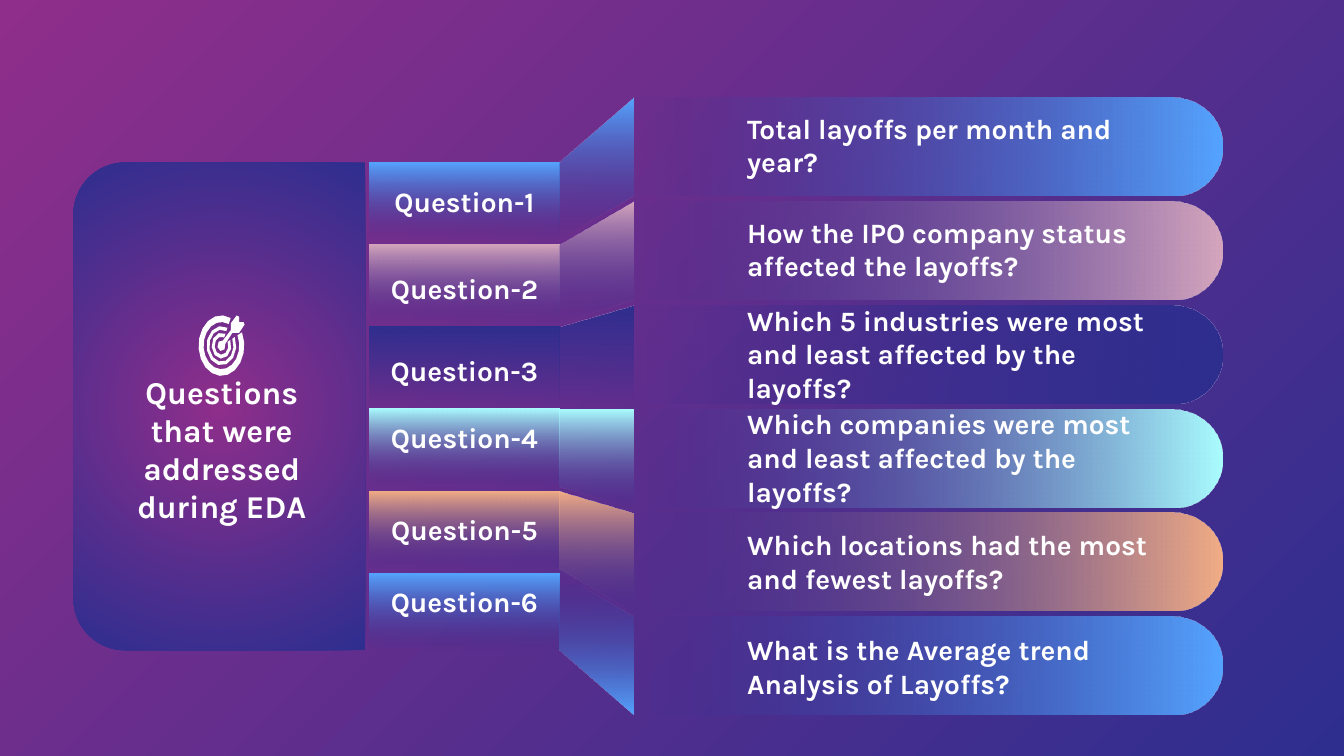
import math

from lxml import etree
from pptx import Presentation
from pptx.dml.color import RGBColor
from pptx.enum import shapes, text
from pptx.oxml import ns
from pptx.util import Pt

FONT = "Karla"
WHITE, PURPLE, NAVY, BLUE = "FFFFFF", "8F2E8B", "2E2E8F", "55A4FF"

# Answer, colour, tops of the label and of the answer within the diagram
QUESTIONS = [
    ("Total layoffs per month and year?", BLUE, 40.9, -0.5),
    ("How the IPO company status affected the layoffs?", "D5A6BD", 87.2, 54.9),
    ("Which 5 industries were most and least affected by the layoffs?",
     NAVY, 131.5, 132.5),
    ("Which companies were most and least affected by the layoffs?",
     "AAFDFF", 167.3, 198.2),
    ("Which locations had the most and fewest layoffs?", "F2AD85", 216.5, 264.6),
    ("What is the Average trend Analysis of Layoffs?", BLUE, 255, 331.2),
]
# The answers share one step, with the tops above rounded to the bars
ANSWER_NUDGE = [-0.5, -0.5, 0.2, 0, 0, 0.6]


def rgb(value):
    return RGBColor.from_string(value)


def set_gradient(fill, holder, start, end, alpha=100, angle=None):
    """Two-stop gradient: linear at an angle, or radial without one."""
    fill.solid()
    grad = etree.Element(ns.qn("a:gradFill"), rotWithShape="1")
    stops = etree.SubElement(grad, ns.qn("a:gsLst"))
    for pos, colour, opacity in ((0, start, 100), (100, end, alpha)):
        gs = etree.SubElement(stops, ns.qn("a:gs"), pos=str(pos * 1000))
        clr = etree.SubElement(gs, ns.qn("a:srgbClr"), val=colour)
        if opacity < 100:
            etree.SubElement(clr, ns.qn("a:alpha"), val=str(opacity * 1000))
    if angle is None:
        radial = etree.SubElement(grad, ns.qn("a:path"), path="circle")
        sides = dict.fromkeys("ltrb", "50000")
        etree.SubElement(radial, ns.qn("a:fillToRect"), **sides)
    else:
        etree.SubElement(grad, ns.qn("a:lin"), ang=str(angle * 60000), scaled="0")
    holder.replace(holder.find(ns.qn("a:solidFill")), grad)


def plain(sp):
    sp.shadow.inherit = False
    sp.line.fill.background()
    return sp


def fade(sp, colour, angle=90):
    set_gradient(sp.fill, sp.element.spPr, colour, NAVY, 0, angle)


def add_preset(parent, kind, box):
    return plain(parent.add_shape(kind, *map(Pt, box)))


def add_turned(parent, box, rotation, radius):
    """Rectangle with two round corners, turned so that it covers the box."""
    x, y, w, h = box
    sp = add_preset(parent, shapes.MSO_SHAPE.ROUND_2_SAME_RECTANGLE,
                    (x + (w - h) / 2, y + (h - w) / 2, h, w))
    sp.rotation = rotation
    sp.adjustments[0], sp.adjustments[1] = radius, 0
    return sp


def add_polygon(parent, points):
    points = [(Pt(x), Pt(y)) for x, y in points]
    builder = parent.build_freeform(*points[0])
    builder.add_line_segments(points[1:], close=True)
    return plain(builder.convert_to_shape())


def write(sp, words, size, align):
    tf = sp.text_frame
    tf.word_wrap = True
    tf.auto_size = text.MSO_AUTO_SIZE.NONE
    tf.vertical_anchor = text.MSO_ANCHOR.MIDDLE
    tf.margin_left = tf.margin_right = tf.margin_top = tf.margin_bottom = Pt(7.2)
    p = tf.paragraphs[0]
    p.alignment = align
    r = p.add_run()
    r.text = words
    r.font.name, r.font.size, r.font.bold = FONT, Pt(size), True
    r.font.color.rgb = rgb(WHITE)


def add_label(slide, box, words, align):
    write(slide.shapes.add_textbox(*map(Pt, box)), words, 15, align)


def add_target(slide, box):
    """Target with three open rings and a dart."""
    x, y, w, h = box
    cx, cy = x + w / 2, y + h / 2
    group = slide.shapes.add_group_shape().shapes

    def arc(scale, angles):
        return [(cx + scale * w / 2 * math.cos(math.radians(a)),
                 cy - scale * h / 2 * math.sin(math.radians(a))) for a in angles]

    # Rings, open at the upper right
    parts = []
    for outer, inner, step in ((1, 0.78, 20), (0.65, 0.53, 32), (0.43, 0.3, 40)):
        sweep = range(66, 387, step)
        parts.append(arc(outer, sweep) + arc(inner, reversed(sweep)))
    # Bullseye and dart in one outline
    parts.append(arc(0.18, range(70, 381, 62)) + [(cx + dx, cy + dy) for dx, dy in (
        (5.8, -6.8), (9.4, -6.8), (12.4, -11.3), (11.8, -12.6), (9.4, -12.6),
        (9.4, -15.5), (8.2, -16.2), (5, -12), (5, -8.3))])
    for points in parts:
        sp = add_polygon(group, points)
        sp.fill.solid()
        sp.fill.fore_color.rgb = rgb(WHITE)


def add_panel(slide, box):
    """Rounded panel with the icon and the slide title."""
    x, y, w, h = box
    sp = add_turned(slide.shapes, box, 270, 0.177)
    set_gradient(sp.fill, sp.element.spPr, PURPLE, NAVY)
    add_target(slide, (x + 67, y + 82, 24.5, 32.4))
    title = slide.shapes.title
    title.left, title.top, title.width, title.height = map(
        Pt, (x + 16.8, y + 127.5, 125.3, 52))
    write(title, "Questions that were addressed during EDA", 17, text.PP_ALIGN.CENTER)
    slide.shapes.element.append(title.element)  # bring to the front


def add_questions(slide, box):
    """Tabs that fan out through flaps into the answer bars."""
    x, y, w, h = box
    tab_w, tab_h, tab_step = 101.5, 41, 44.05
    bar_h = 52.5
    bar_step = (h - bar_h) / (len(QUESTIONS) - 1)
    fold, bar_x = x + tab_w, x + tab_w + 39.7
    for i, (answer, colour, label_y, _) in enumerate(QUESTIONS):
        tab_y, bar_y = y + 34.7 + i * tab_step, y + i * bar_step
        bar = (bar_x, bar_y, x + w - bar_x, bar_h)
        fade(add_turned(slide.shapes, bar, 90, 0.5), colour)
        tab = (x, tab_y, tab_w, tab_h)
        fade(add_preset(slide.shapes, shapes.MSO_SHAPE.RECTANGLE, tab), colour)
        flap = add_polygon(slide.shapes, [
            (fold, tab_y), (fold, tab_y + tab_h),
            (bar_x, bar_y + bar_h), (bar_x, bar_y)])
        # The last flap fades upwards
        fade(flap, colour, 270 if i == len(QUESTIONS) - 1 else 90)
        add_label(slide, (x + 1.8, y + label_y, 98, 29.5),
                  f"Question-{i + 1}", text.PP_ALIGN.CENTER)
        add_label(slide, (bar_x + 54, bar_y + ANSWER_NUDGE[i], 240.5, 51.5),
                  answer, text.PP_ALIGN.LEFT)


def main():
    prs = Presentation()
    prs.slide_width, prs.slide_height = Pt(720), Pt(405)
    slide = prs.slides.add_slide(prs.slide_layouts[5])

    # Background
    fill = slide.background.fill
    fill.solid()
    set_gradient(fill, slide.element.find(".//" + ns.qn("p:bgPr")), PURPLE, NAVY, angle=45)

    add_panel(slide, (39.4, 87, 156.2, 261.4))
    add_questions(slide, (198, 52.3, 457, 330.7))
    prs.save("out.pptx")


if __name__ == "__main__":
    main()
